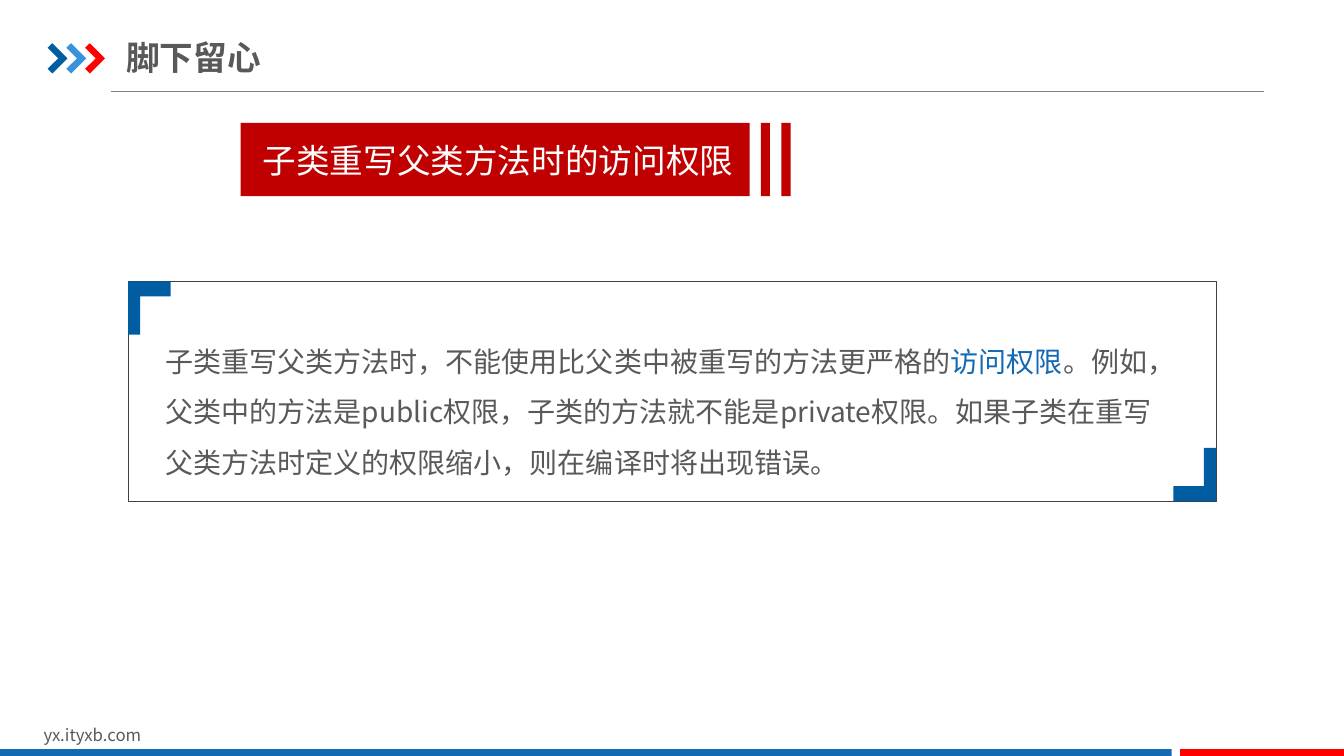
from lxml.etree import SubElement
from pptx import Presentation
from pptx.dml.color import RGBColor
from pptx.enum.shapes import MSO_CONNECTOR, MSO_SHAPE
from pptx.enum.text import MSO_ANCHOR, MSO_AUTO_SIZE, PP_ALIGN
from pptx.oxml.ns import qn
from pptx.util import Pt

NAVY = RGBColor(0x00, 0x5D, 0xA2)
SKY = RGBColor(0x39, 0x92, 0xDB)
BLUE = RGBColor(0x13, 0x69, 0xB2)
RED = RGBColor(0xFF, 0x00, 0x00)
CRIMSON = RGBColor(0xC0, 0x00, 0x00)
GREY = RGBColor(0x59, 0x59, 0x59)
RULE_GREY = RGBColor(0x80, 0x80, 0x80)
FRAME_GREY = RGBColor(0x40, 0x40, 0x40)
WHITE = RGBColor(0xFF, 0xFF, 0xFF)
CJK_FONT = "Noto Sans CJK SC"


def set_all(target, values):
    for name, value in values.items():
        setattr(target, name, value)


def write(paragraph, text, size, color, face=CJK_FONT, bold=False):
    run = paragraph.add_run()
    run.text = text
    set_all(run.font, {"size": Pt(size), "name": face, "bold": bold})
    run.font.color.rgb = color
    SubElement(run.font._element, qn("a:ea"), typeface=CJK_FONT)


def paint(shape, color):
    shape.shadow.inherit = False
    shape.fill.solid()
    shape.fill.fore_color.rgb = color
    shape.line.fill.background()


def add_block(slide, left, top, width, height, color):
    block = slide.shapes.add_shape(
        MSO_SHAPE.RECTANGLE, Pt(left), Pt(top), Pt(width), Pt(height))
    paint(block, color)
    return block


def add_outline(slide, left, top, points, color, direction=1):
    corners = [(Pt(left + direction * x), Pt(top + direction * y)) for x, y in points]
    builder = slide.shapes.build_freeform(*corners[0], scale=1.0)
    builder.add_line_segments(corners[1:], close=True)
    paint(builder.convert_to_shape(), color)


def add_header(slide, left, top, width):
    rule = slide.shapes.add_connector(
        MSO_CONNECTOR.STRAIGHT, Pt(left + 45.3), Pt(top + 34.5),
        Pt(left + width), Pt(top + 34.5))
    rule.line.color.rgb = RULE_GREY
    rule.line.width = Pt(0.75)
    SubElement(rule._element.spPr, qn("a:effectLst"))

    chevron = [(0, 3.2), (3.4, 0), (14.2, 10.8), (3.4, 21.6), (0, 18.3), (7.6, 10.8)]
    for index, color in enumerate((NAVY, SKY, RED)):
        add_outline(slide, left + index * 13.4, top, chevron, color)

    title = slide.shapes.title
    set_all(title, {"left": Pt(left + 56.2), "top": Pt(top - 10),
                    "width": Pt(306.7), "height": Pt(39.6)})
    set_all(title.text_frame, {
        "margin_left": 0, "margin_right": 0, "margin_top": Pt(5), "margin_bottom": Pt(5),
        "vertical_anchor": MSO_ANCHOR.MIDDLE, "word_wrap": True,
        "auto_size": MSO_AUTO_SIZE.NONE})
    heading = title.text_frame.paragraphs[0]
    heading.alignment = PP_ALIGN.LEFT
    write(heading, "脚下留心", 24, GREY, bold=True)


def add_banner(slide, left, top, width, height):
    banner = add_block(slide, left, top, width, height, CRIMSON)
    set_all(banner.text_frame, {
        "margin_left": Pt(15.9), "margin_right": Pt(7.2),
        "vertical_anchor": MSO_ANCHOR.MIDDLE, "word_wrap": True})
    topic = banner.text_frame.paragraphs[0]
    topic.alignment = PP_ALIGN.JUSTIFY
    write(topic, "子类重写父类方法时的访问权限", 24, WHITE, "Arial")
    for index in range(2):
        add_block(slide, left + width + 8 + index * 14.8, top, 6.6, height, CRIMSON)


def add_rule_panel(slide, left, top, width, height):
    explanation = slide.shapes.add_textbox(
        Pt(left + 19.4), Pt(top + 29.5), Pt(738), Pt(116))
    explanation.text_frame.word_wrap = True
    paragraph = explanation.text_frame.paragraphs[0]
    paragraph.line_spacing = 1.5
    for text, color in (
        ("子类重写父类方法时，不能使用比父类中被重写的方法更严格的", GREY),
        ("访问权限", BLUE),
        ("。例如，父类中的方法是public权限，子类的方法就不能是private权限。"
         "如果子类在重写父类方法时定义的权限缩小，则在编译时将出现错误。", GREY),
    ):
        write(paragraph, text, 20, color)

    frame = slide.shapes.add_shape(
        MSO_SHAPE.ROUNDED_RECTANGLE, Pt(left), Pt(top), Pt(width), Pt(height))
    frame.adjustments[0] = 0
    frame.shadow.inherit = False
    frame.fill.background()
    frame.line.color.rgb = FRAME_GREY
    frame.line.width = Pt(0.25)

    bracket = [(0, 0), (30.4, 0), (30.4, 10.8), (8.6, 10.8), (8.6, 38.1), (0, 38.1)]
    add_outline(slide, left, top, bracket, NAVY)
    add_outline(slide, left + width, top + height, bracket, NAVY, direction=-1)


def add_footer(slide, left, top, width):
    address = slide.shapes.add_textbox(Pt(left + 24), Pt(top - 21), Pt(229), Pt(21.6))
    address.text_frame.word_wrap = True
    write(address.text_frame.paragraphs[0], "yx.ityxb.com", 12, GREY)
    red_width, gap = 117, 6
    add_block(slide, left, top, width - red_width - gap, 6.2, BLUE)
    add_block(slide, left + width - red_width, top, red_width, 6.2, RED)


def main():
    presentation = Presentation()
    set_all(presentation, {"slide_width": Pt(960), "slide_height": Pt(540)})
    slide = presentation.slides.add_slide(presentation.slide_layouts[5])
    add_header(slide, 34, 30.9, 869)
    add_banner(slide, 171.8, 87.8, 363.6, 52.4)
    add_rule_panel(slide, 91.6, 201, 777, 157)
    add_footer(slide, 0, 535, 960)
    presentation.save("out.pptx")


if __name__ == "__main__":
    main()
